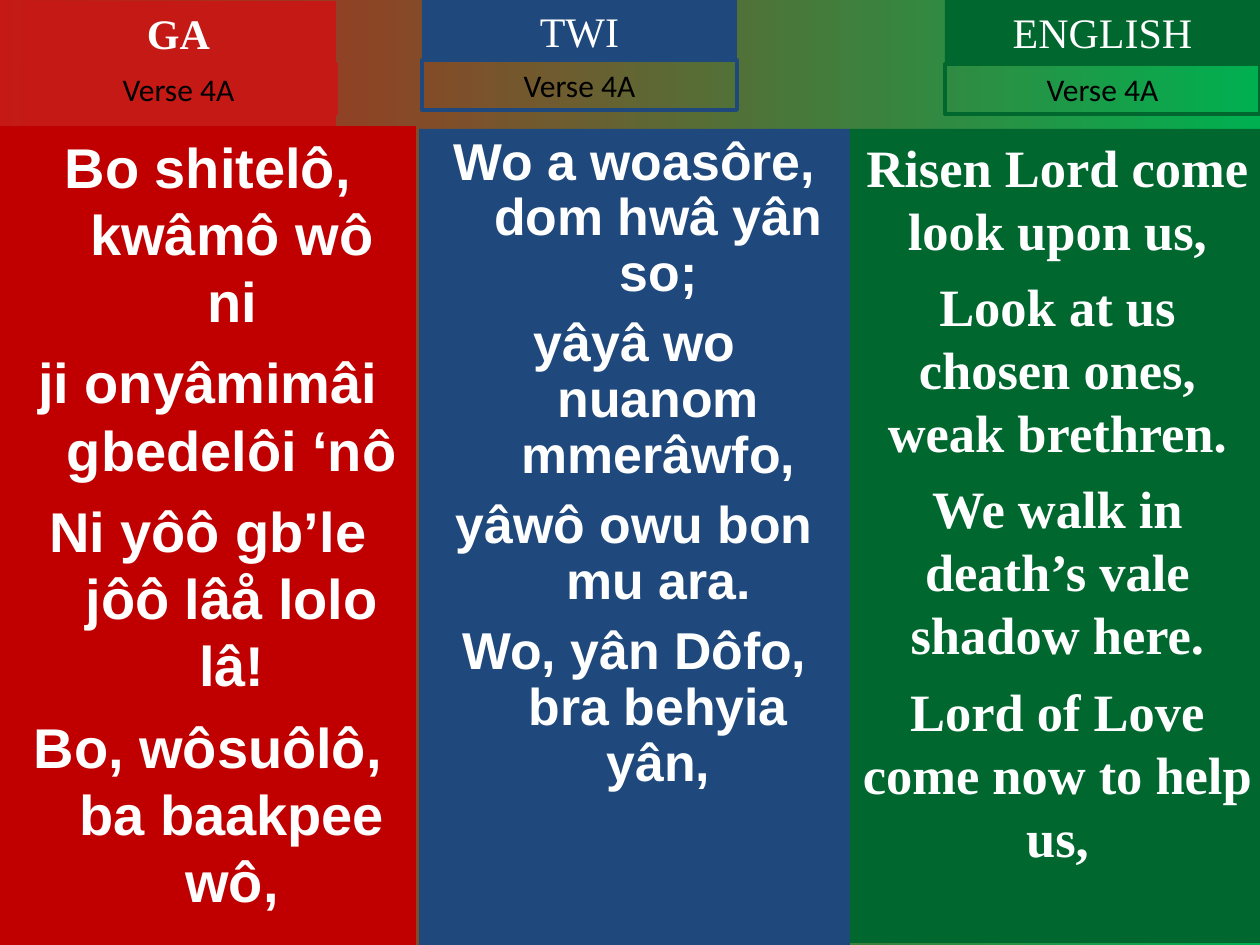
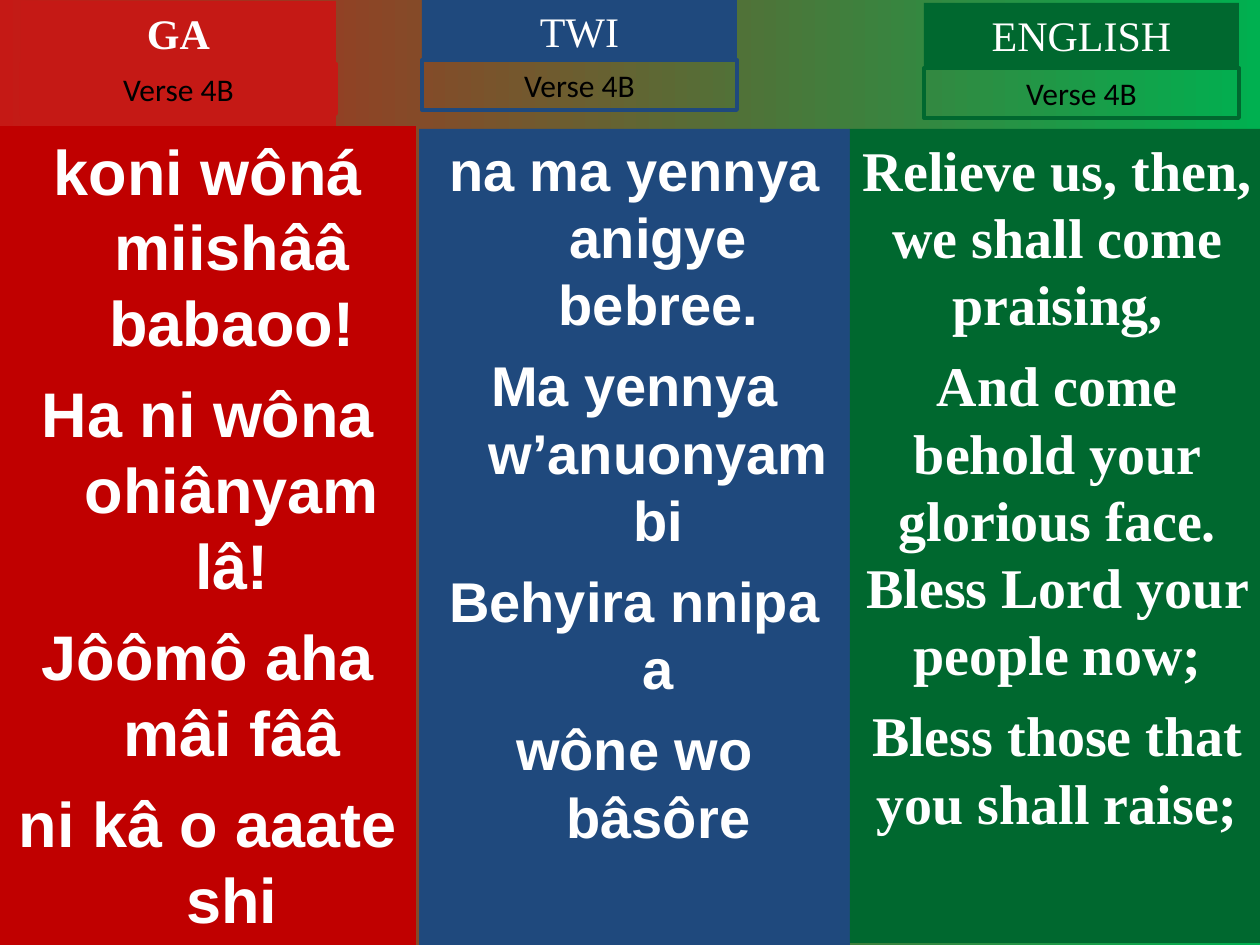
"""Build two hymn slides with one verse half in three languages side by side."""
import pptx
import pptx.dml.color
import pptx.enum.shapes
import pptx.enum.text
import pptx.util
import lxml.etree

PX = 914400 / 126
RED, BRIGHT_RED, BLUE, GREEN = "C00000", "C51915", "1F497D", "00682F"
BRIGHT_GREEN, WHITE, BLACK = "00B050", "FFFFFF", "000000"
SANS, SERIF, LABEL_FONT = "Arial", "Times New Roman", "Calibri"
TWO_CONTENT_LAYOUT = 3
TAB_WIDTH, HEADING_HEIGHT, LABEL_HEIGHT = 315, 63, 50
HANGING = 48

GA_COLUMN = (0, 126, 416, 819)
TWI_COLUMN = (419, 129, 431, 816)
ENGLISH_COLUMN = (850, 129, 415, 814)

VERSES = [
    {
        "label": "Verse 4A",
        "english_tab": (945, 0, 64),
        "ga": (["Bo shitelô, kwâmô wô ni",
                "ji onyâmimâi gbedelôi ‘nô",
                "Ni yôô gb’le jôô lâå lolo lâ!",
                "Bo, wôsuôlô, ba baakpee wô,"],
               {"size": 32, "before": 8}),
        "twi": (["Wo a woasôre, dom hwâ yân so;",
                 "yâyâ wo nuanom mmerâwfo,",
                 "yâwô owu bon mu ara.",
                 "Wo, yân Dôfo, bra behyia yân,"],
                {"size": 29.6, "before": 8, "spacing": 0.9}),
        "english": (["Risen Lord come look upon us,",
                     "Look at us chosen ones, weak brethren.",
                     "We walk in death’s vale shadow here.",
                     "Lord of Love come now to help us,"],
                    {"size": 30, "before": 7.5}),
    },
    {
        "label": "Verse 4B",
        "english_tab": (924, 3, 68),
        "ga": (["koni wôná miishââ babaoo!",
                "Ha ni wôna ohiânyam lâ!",
                "Jôômô aha mâi fââ",
                "ni kâ o aaate shi"],
               {"size": 36, "before": 9}),
        "twi": (["na ma yennya anigye bebree.",
                 "Ma yennya w’anuonyam bi",
                 "Behyira nnipa a",
                 "wône wo bâsôre"],
                {"size": 32, "before": 8}),
        "english": (["Relieve us, then, we shall come praising,",
                     "And come behold your glorious face. Bless Lord your people now;",
                     "Bless those that you shall raise;"],
                    {"size": 32, "before": 8}),
    },
]


def px(n):
    """Turn pixels into EMU."""
    return pptx.util.Emu(round(n * PX))


def rgb(color):
    """Turn a hex string into a colour."""
    return pptx.dml.color.RGBColor.from_string(color)


def put_text(sp, lines, size, font=SANS, color=WHITE, bold=False, before=0,
             spacing=1.0, hanging=0, grow=False):
    """Write centred paragraphs into a shape with the given format."""
    tf = sp.text_frame
    tf.word_wrap = True
    fit = pptx.enum.text.MSO_AUTO_SIZE
    tf.auto_size = fit.SHAPE_TO_FIT_TEXT if grow else fit.NONE
    tf.vertical_anchor = pptx.enum.text.MSO_ANCHOR.TOP
    for i, line in enumerate(lines):
        p = tf.add_paragraph() if i else tf.paragraphs[0]
        pPr = p._p.get_or_add_pPr()
        pPr.set("marL", str(px(hanging)))
        pPr.set("indent", str(-px(hanging)))
        lxml.etree.SubElement(pPr, pptx.oxml.ns.qn("a:buNone"))
        p.alignment = pptx.enum.text.PP_ALIGN.CENTER
        p.line_spacing = spacing
        p.space_before = pptx.util.Pt(before if i else 0)
        r = p.add_run()
        r.text = line
        r.font.size = pptx.util.Pt(size)
        r.font.name = font
        r.font.bold = bold
        r.font.color.rgb = rgb(color)


def place_box(s, box, fill=None, line=None, holder=None):
    """Place a placeholder, or a new rectangle, in a box and colour it."""
    left, top, width, height = map(px, box)
    sp = holder
    if sp is None:
        rect = pptx.enum.shapes.MSO_SHAPE.RECTANGLE
        sp = s.shapes.add_shape(rect, left, top, width, height)
        sp.shadow.inherit = False
    else:
        sp.left, sp.top, sp.width, sp.height = left, top, width, height
    if fill:
        sp.fill.solid()
        sp.fill.fore_color.rgb = rgb(fill)
    else:
        sp.fill.background()
    if line:
        sp.line.color.rgb = rgb(line)
        sp.line.width = pptx.util.Pt(2.25)
    else:
        sp.line.fill.background()
    return sp


def add_tab(s, tab, name, label, color, holder=None, bold=False):
    """Add a language heading with its outlined verse label below."""
    left, top, label_top = tab
    heading = place_box(s, (left, top, TAB_WIDTH, HEADING_HEIGHT), fill=color, holder=holder)
    put_text(heading, [name], 24, font=SERIF, bold=bold, grow=True)
    outline = place_box(s, (left, label_top, TAB_WIDTH, LABEL_HEIGHT), line=color)
    put_text(outline, [label], 18, font=LABEL_FONT, color=BLACK, grow=True)


def add_column(s, box, verse, color, holder=None, **style):
    """Add a coloured column holding the lines of a verse."""
    lines, verse_style = verse
    column = place_box(s, box, fill=color, holder=holder)
    put_text(column, lines, bold=True, **verse_style, **style)


def paint_background(s):
    """Fill the slide with a gradient from red on the left to green."""
    fill = s.background.fill
    fill.gradient()
    fill.gradient_angle = 0
    for stop, color in zip(fill.gradient_stops, (BRIGHT_RED, BRIGHT_GREEN)):
        stop.color.rgb = rgb(color)


def add_verse_slide(prs, verse):
    """Add a slide with one verse half in Ga, Twi and English."""
    s = prs.slides.add_slide(prs.slide_layouts[TWO_CONTENT_LAYOUT])
    paint_background(s)
    title, ga_body, twi_body = s.placeholders
    add_column(s, GA_COLUMN, verse["ga"], RED, ga_body, hanging=HANGING)
    add_column(s, TWI_COLUMN, verse["twi"], BLUE, twi_body, hanging=HANGING)
    add_column(s, ENGLISH_COLUMN, verse["english"], GREEN, font=SERIF)
    label = verse["label"]
    add_tab(s, (21, 1, 64), "GA", label, BRIGHT_RED, holder=title, bold=True)
    add_tab(s, (422, -1, 60), "TWI", label, BLUE)
    add_tab(s, verse["english_tab"], "ENGLISH", label, GREEN)


def main():
    """Build and save the presentation."""
    prs = pptx.Presentation()
    prs.slide_width, prs.slide_height = px(1260), px(945)
    for verse in VERSES:
        add_verse_slide(prs, verse)
    prs.save("out.pptx")


if __name__ == "__main__":
    main()
